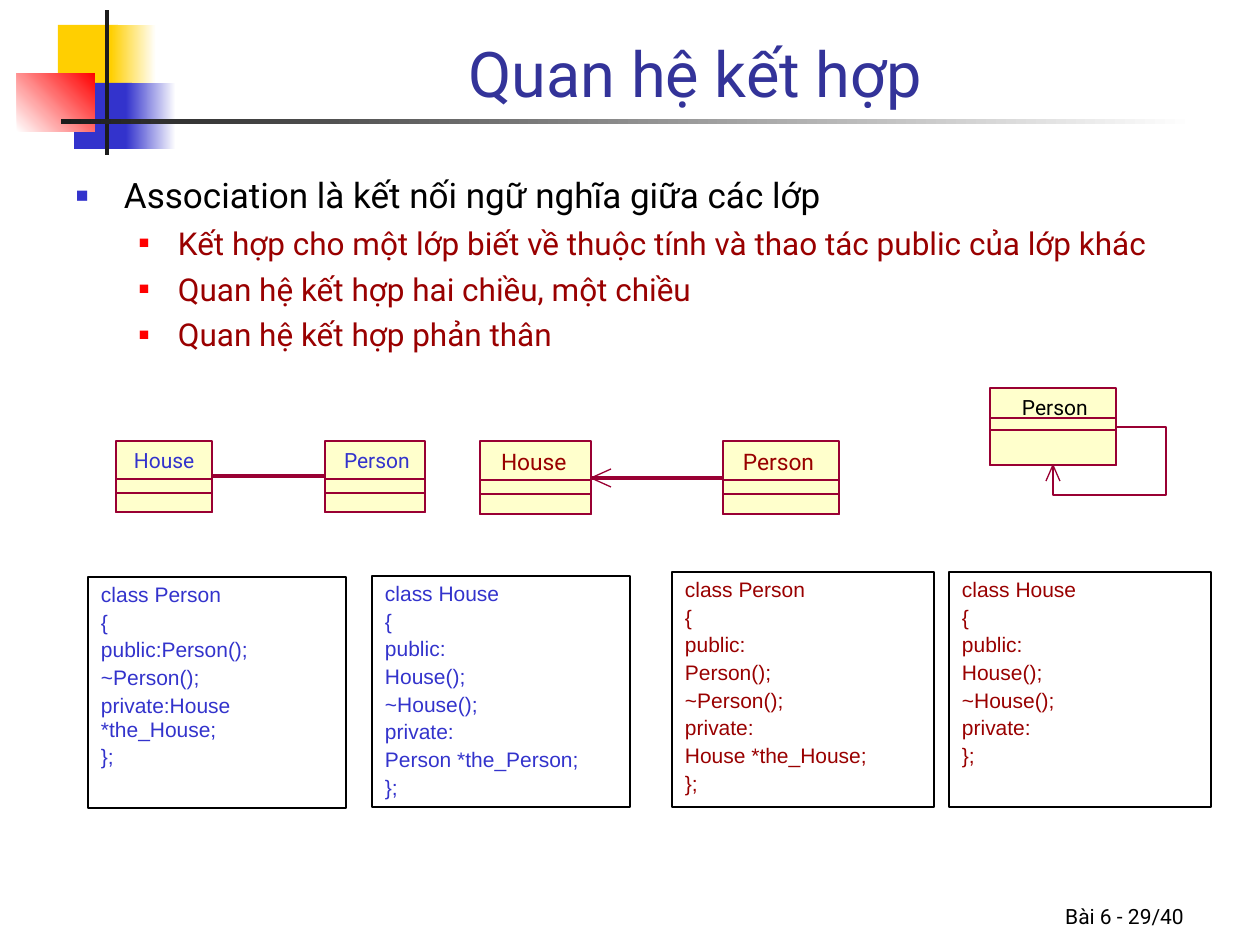
from lxml import etree
from pptx import Presentation
from pptx.dml.color import RGBColor
from pptx.enum.shapes import MSO_CONNECTOR, MSO_SHAPE
from pptx.enum.text import MSO_ANCHOR, MSO_AUTO_SIZE, PP_ALIGN
from pptx.oxml.ns import qn
from pptx.util import Pt

RECT, STRAIGHT = MSO_SHAPE.RECTANGLE, MSO_CONNECTOR.STRAIGHT
TOP, BOTTOM = MSO_ANCHOR.TOP, MSO_ANCHOR.BOTTOM
LEFT, CENTER, RIGHT = PP_ALIGN.LEFT, PP_ALIGN.CENTER, PP_ALIGN.RIGHT
NO_AUTOFIT = MSO_AUTO_SIZE.NONE

PX = 914400 / 126  # EMU per pixel
HAIRLINE = Pt(0)
HEAD_FONT, CODE_FONT = "Roboto", "Arial"

BLACK = RGBColor(0x00, 0x00, 0x00)
WHITE = RGBColor(0xFF, 0xFF, 0xFF)
CHARCOAL = RGBColor(0x1C, 0x1C, 0x1C)
YELLOW = RGBColor(0xFF, 0xCF, 0x01)
BLUE = RGBColor(0x33, 0x33, 0xCC)
RED = RGBColor(0xFF, 0x00, 0x00)
NAVY = RGBColor(0x33, 0x33, 0x99)
DARK_RED = RGBColor(0x99, 0x00, 0x00)
CREAM = RGBColor(0xFF, 0xFF, 0xCC)
UML_LINE = RGBColor(0x99, 0x00, 0x33)

TITLE = "Quan hệ kết hợp"
FOOTER = "Bài 6 - 29/40"

# left, top, width, height, colours from start to end, angle
ORNAMENT = [
    (58, 25, 60, 66, (YELLOW,), 0),
    (111, 25, 45, 66, (YELLOW, WHITE), 0),
    (74, 83, 58, 66, (BLUE,), 0),
    (126, 83, 50, 66, (BLUE, WHITE), 0),
    (17, 73, 78, 59, (WHITE, RED), 45),
    (105, 10, 4, 145, (CHARCOAL,), 0),
    (61, 119, 1134, 5, (CHARCOAL, WHITE), 0),
]

# size, colour, space before, text indent px, hanging px, bullet colour, bullet %
TOPIC = (20, BLACK, 5, 48, 48, BLUE, 60)
DETAIL = (18, DARK_RED, 4.5, 102, 39, RED, 55)
BULLETS = [
    (TOPIC, "Association là kết nối ngữ nghĩa giữa các lớp"),
    (DETAIL, "Kết hợp cho một lớp biết về thuộc tính và thao tác public của lớp khác"),
    (DETAIL, "Quan hệ kết hợp hai chiều, một chiều"),
    (DETAIL, "Quan hệ kết hợp phản thân"),
]

# name, box, label left, label width, divider offsets, size, colour
CLASSES = [
    ("House", (116, 441, 96, 71), 134, 63, (38, 52), 12, BLUE),
    ("Person", (325, 441, 100, 71), 344, 69, (38, 52), 12, BLUE),
    ("Person", (723, 441, 116, 73), 743, 74, (39, 53), 13, DARK_RED),
    ("House", (480, 441, 111, 73), 501, 68, (39, 53), 13, DARK_RED),
    ("Person", (990, 388, 126, 77), 1022, 69, (30, 42), 12, BLACK),
]

ASSOCIATIONS = [
    [(212, 476), (325, 476)],
    [(723, 478), (591, 478)],
    [(611, 469), (591, 478), (611, 487)],
    [(1116, 427), (1166, 427), (1166, 495), (1053, 495), (1053, 465)],
    [(1046, 481), (1053, 465), (1060, 481)],
]

CODE = [
    ((88, 577, 258, 231), BLUE,
     ["class Person", "{", "public:Person();", "~Person();",
      "private:House *the_House;", "};"]),
    ((372, 576, 258, 231), BLUE,
     ["class House", "{", "public:", "House();", "~House();", "private:",
      "Person *the_Person;", "};"]),
    ((672, 572, 262, 235), DARK_RED,
     ["class Person", "{", "public:", "Person();", "~Person();", "private:",
      "House *the_House;", "};"]),
    ((949, 572, 262, 235), DARK_RED,
     ["class House", "{", "public:", "House();", "~House();", "private:", "};"]),
]


def emu(*lengths):
    return [round(length * PX) for length in lengths]


def add_rect(slide, box, fill=None, line=None, width=HAIRLINE):
    rect = slide.shapes.add_shape(RECT, *emu(*box))
    rect.shadow.inherit = False
    if fill is None:
        rect.fill.background()
    else:
        rect.fill.solid()
        rect.fill.fore_color.rgb = fill
    if line is None:
        rect.line.fill.background()
    else:
        rect.line.color.rgb = line
        rect.line.width = width
    return rect


def prepare_frame(frame, anchor=TOP, wrap=True, insets=(13, 6)):
    frame.word_wrap = wrap
    frame.auto_size = NO_AUTOFIT
    frame.vertical_anchor = anchor
    frame.margin_left = frame.margin_right = emu(insets[0])[0]
    frame.margin_top = frame.margin_bottom = emu(insets[1])[0]
    return frame


def write_line(frame, index, text, size, color, font=HEAD_FONT, align=LEFT):
    paragraph = frame.add_paragraph() if index else frame.paragraphs[0]
    paragraph.alignment = align
    run = paragraph.add_run()
    run.text = text
    run.font.name = font
    run.font.size = Pt(size)
    run.font.color.rgb = color
    return paragraph


def set_bullet(paragraph, indent, hanging, color, percent):
    properties = paragraph._p.get_or_add_pPr()
    properties.set("marL", str(emu(indent)[0]))
    properties.set("indent", str(emu(-hanging)[0]))
    bullet_color = etree.SubElement(properties, qn("a:buClr"))
    etree.SubElement(bullet_color, qn("a:srgbClr"), val=str(color))
    etree.SubElement(properties, qn("a:buSzPct"), val=str(percent * 1000))
    etree.SubElement(properties, qn("a:buFont"), typeface=CODE_FONT)
    etree.SubElement(properties, qn("a:buChar"), char="■")


def add_ornament(slide):
    for *box, colors, angle in ORNAMENT:
        bar = add_rect(slide, box, colors[0])
        if len(colors) > 1:
            bar.fill.gradient()
            bar.fill.gradient_angle = angle
            for position, (stop, color) in enumerate(zip(bar.fill.gradient_stops, colors)):
                stop.color.rgb = color
                stop.position = position


def add_class(slide, name, box, label_left, label_width, dividers, size, color):
    left, top, width, height = box
    add_rect(slide, box, CREAM, UML_LINE)
    for offset in dividers:
        add_rect(slide, (left, top + offset, width, height - offset), line=UML_LINE)
    label = slide.shapes.add_textbox(*emu(label_left, top + 7, label_width, 26))
    frame = prepare_frame(label.text_frame, wrap=False, insets=(0, 0))
    write_line(frame, 0, name, size, color)


def add_association(slide, points):
    if len(points) == 2:
        link = slide.shapes.add_connector(STRAIGHT, *emu(*points[0], *points[1]))
        etree.SubElement(link._element.spPr, qn("a:effectLst"))
    else:
        builder = slide.shapes.build_freeform(*points[0], scale=PX)
        builder.add_line_segments(points[1:], close=False)
        link = builder.convert_to_shape()
        link.fill.background()
        link.shadow.inherit = False
    link.line.color.rgb = UML_LINE
    link.line.width = HAIRLINE


def add_code(slide, box, color, lines):
    panel = add_rect(slide, box, WHITE, BLACK, Pt(0.75))
    frame = prepare_frame(panel.text_frame)
    for index, text in enumerate(lines):
        paragraph = write_line(frame, index, text, 12, color, CODE_FONT)
        paragraph.line_spacing = 0.96
        paragraph.space_before = paragraph.space_after = Pt(1)


def main():
    deck = Presentation()
    deck.slide_width, deck.slide_height = emu(1260, 945)
    slide = deck.slides.add_slide(deck.slide_layouts[5])
    add_ornament(slide)

    title = slide.shapes.title
    title.left, title.top, title.width, title.height = emu(159, 10, 1073, 106)
    write_line(prepare_frame(title.text_frame, BOTTOM), 0, TITLE, 36, NAVY, align=CENTER)

    body = slide.shapes.add_textbox(*emu(63, 168, 1170, 693))
    frame = prepare_frame(body.text_frame)
    for index, (style, text) in enumerate(BULLETS):
        size, color, before, *bullet = style
        paragraph = write_line(frame, index, text, size, color)
        paragraph.space_before = Pt(before)
        set_bullet(paragraph, *bullet)

    for uml_class in CLASSES:
        add_class(slide, *uml_class)
    for points in ASSOCIATIONS:
        add_association(slide, points)
    for panel in CODE:
        add_code(slide, *panel)

    footer = slide.shapes.add_textbox(*emu(935, 872, 262, 63))
    write_line(prepare_frame(footer.text_frame, BOTTOM), 0, FOOTER, 12, BLACK, align=RIGHT)
    deck.save("out.pptx")


if __name__ == "__main__":
    main()
